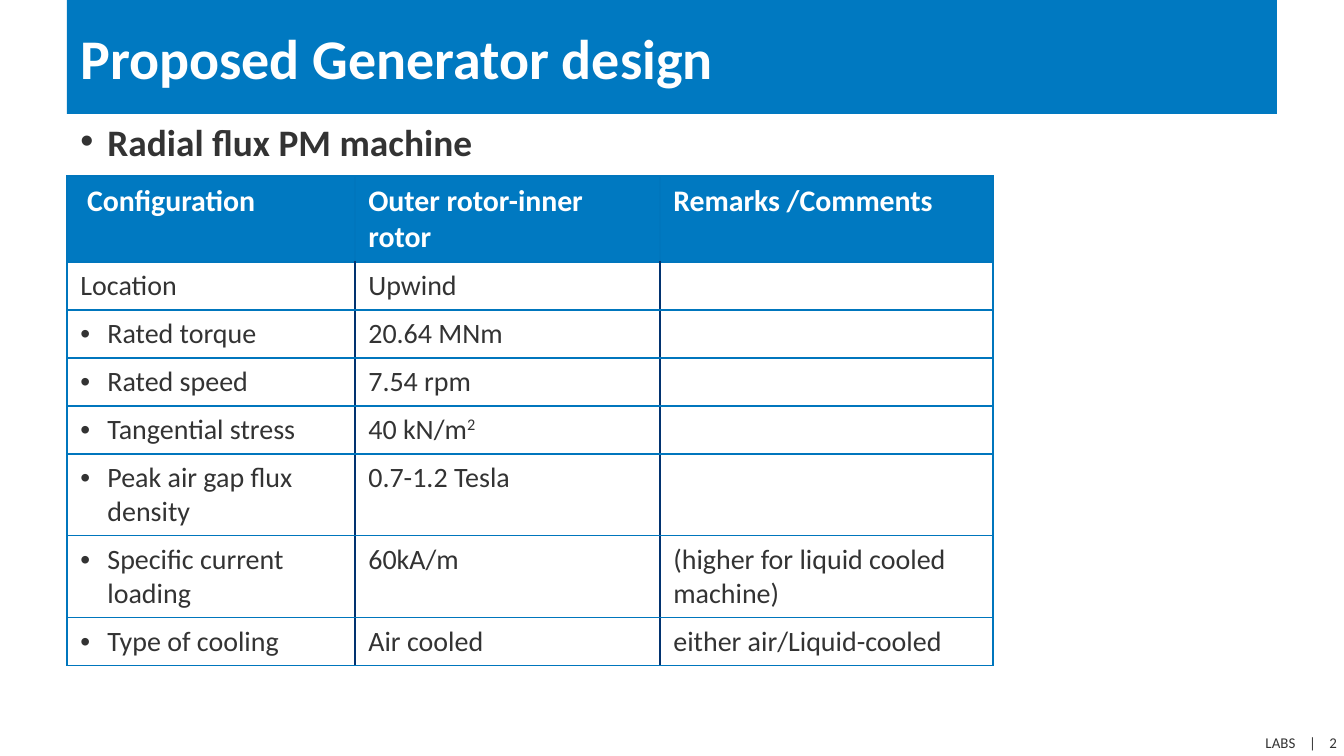
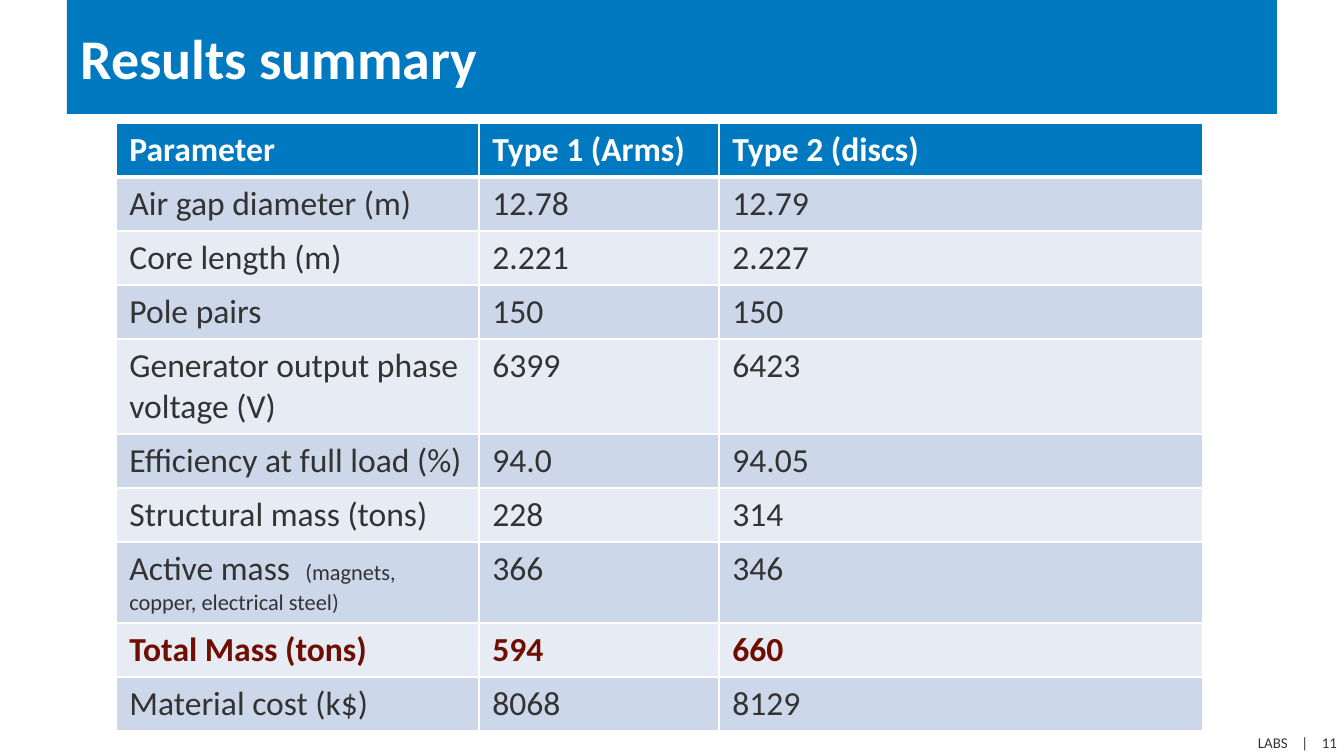
from dataclasses import dataclass

from lxml import etree
from pptx import Presentation
from pptx import util as u
from pptx.dml import color
from pptx.enum import text
from pptx.oxml import ns


@dataclass(frozen=True)
class Theme:
    font: str = "Calibri"
    blue: str = "0079C1"
    rule: str = "0076BD"
    navy: str = "023370"
    ink: str = "333333"
    white: str = "FFFFFF"
    maroon: str = "6F0D00"
    bands: tuple = ("CCD7E9", "E7ECF4")
    title_size: int = 30
    list_size: int = 20
    footer_size: int = 8
    note_size: int = 12


theme = Theme()
PX = 914400 / 134.4
INDENT = 27


def write_text(frame, runs, size, ink=theme.ink, bold=False, align=text.PP_ALIGN.LEFT, bullet=False):
    paragraph = frame.paragraphs[0]
    paragraph.alignment = align
    if bullet:
        properties = paragraph._p.get_or_add_pPr()
        properties.set("marL", str(round(INDENT * PX)))
        properties.set("indent", str(round(-INDENT * PX)))
        before = etree.SubElement(properties, ns.qn("a:spcBef"))
        etree.SubElement(before, ns.qn("a:spcPct"), val="20000")
        etree.SubElement(properties, ns.qn("a:buFont"), typeface="Arial")
        etree.SubElement(properties, ns.qn("a:buChar"), char="•")
    if not runs:
        etree.SubElement(paragraph._p, ns.qn("a:endParaRPr"), sz=str(size * 100))
        return
    for wording, extra in [(runs, {})] if isinstance(runs, str) else runs:
        run = paragraph.add_run()
        run.text = wording
        run.font.name = theme.font
        run.font.size = u.Pt(extra.get("size", size))
        run.font.bold = bold
        run.font.color.rgb = color.RGBColor.from_string(ink)
        for name in ("baseline", "spc"):
            if name in extra:
                run._r.get_or_add_rPr().set(name, str(extra[name]))


def draw_borders(cell, borders):
    properties = cell._tc.get_or_add_tcPr()
    for side, (ink, width) in zip("LRTB", borders):
        line = etree.SubElement(properties, ns.qn(f"a:ln{side}"), w=str(u.Pt(width)))
        fill = etree.SubElement(line, ns.qn("a:solidFill"))
        etree.SubElement(fill, ns.qn("a:srgbClr"), val=ink)


design_rows = [
    (" Configuration", "Outer rotor-inner rotor", "Remarks /Comments"),
    ("Location", "Upwind", ""),
    ("Rated torque", "20.64 MNm", ""),
    ("Rated speed", "7.54 rpm", ""),
    ("Tangential stress", [("40 kN/m", {}), ("2", {"baseline": 30000})], ""),
    ("Peak air gap flux density", "0.7-1.2 Tesla", ""),
    ("Specific current loading", "60kA/m", "(higher for liquid cooled machine)"),
    ("Type of cooling", "Air cooled", "either air/Liquid-cooled"),
]
active_mass = [
    ("Active mass", {}),
    (" ", {"spc": 400}),
    ("(magnets, copper, electrical steel)", {"size": theme.note_size}),
]
result_rows = [
    ("Parameter", "Type 1 (Arms)", "Type 2 (discs)"),
    ("Air gap diameter (m)", "12.78", "12.79"),
    ("Core length (m)", "2.221", "2.227"),
    ("Pole pairs", "150", "150"),
    ("Generator output phase voltage (V)", "6399", "6423"),
    ("Efficiency at full load (%)", "94.0", "94.05"),
    ("Structural mass (tons)", "228", "314"),
    (active_mass, "366", "346"),
    ("Total Mass (tons)", "594", "660"),
    ("Material cost (k$)", "8068", "8129"),
]
pages = [
    dict(title="Proposed Generator design", number=2, body="Radial flux PM machine",
         rows=design_rows, left=67, top=176, columns=(288, 305, 333),
         heights=(86, 48, 48, 48, 48, 82, 82, 48), head_size=16, size=15,
         banded=False, bullets_from=2, total=None),
    dict(title="Results summary", number=11, body=None,
         rows=result_rows, left=116, top=123, columns=(363, 240, 484),
         heights=(54, 54, 54, 54, 95, 54, 54, 81, 54, 54), head_size=18, size=18,
         banded=True, bullets_from=len(result_rows), total=8),
]

presentation = Presentation()
presentation.slide_width = round(1344 * PX)
presentation.slide_height = round(756 * PX)

for page in pages:
    layout = presentation.slide_layouts[1 if page["body"] else 5]
    slide = presentation.slides.add_slide(layout)

    footer = slide.shapes.add_textbox(*(round(n * PX) for n in (1249, 734, 88, 17)))
    frame = footer.text_frame
    frame.word_wrap = True
    frame.margin_left = frame.margin_right = frame.margin_top = frame.margin_bottom = 0
    gap = (" ", {"spc": 540})
    write_text(frame, [("LABS", {}), gap, ("|", {}), gap, (str(page["number"]), {})],
               theme.footer_size, align=text.PP_ALIGN.RIGHT)

    if page["body"]:
        body = slide.placeholders[1]
        body.left, body.top, body.width, body.height = (round(n * PX) for n in (67, 112, 1193, 532))
        body.text_frame.auto_size = text.MSO_AUTO_SIZE.NONE
        write_text(body.text_frame, page["body"], theme.list_size, bold=True, bullet=True)

    title = slide.shapes.title
    title.left, title.top, title.width, title.height = (round(n * PX) for n in (67, 0, 1210, 114))
    title.fill.solid()
    title.fill.fore_color.rgb = color.RGBColor.from_string(theme.blue)
    title.text_frame.auto_size = text.MSO_AUTO_SIZE.NONE
    title.text_frame.vertical_anchor = text.MSO_ANCHOR.MIDDLE
    write_text(title.text_frame, page["title"], theme.title_size, ink=theme.white, bold=True)

    rows, columns, heights = page["rows"], page["columns"], page["heights"]
    box = (page["left"], page["top"], sum(columns), sum(heights))
    table = slide.shapes.add_table(len(rows), len(columns), *(round(n * PX) for n in box)).table
    table.horz_banding = False
    for column, width in zip(table.columns, columns):
        column.width = round(width * PX)
    for row, height in zip(table.rows, heights):
        row.height = round(height * PX)

    for r, row in enumerate(rows):
        head, total = r == 0, r == page["total"]
        for c, content in enumerate(row):
            cell = table.cell(r, c)
            if page["banded"]:
                edge = (theme.white, 1)
                heavy = (theme.white, 3)
                borders = (edge, edge, heavy if r == 1 else edge, heavy if head else edge)
            else:
                edge = (theme.rule, 0.75)
                inner = edge if head else (theme.navy, 1)
                last = c == len(columns) - 1
                borders = (inner if c else edge, edge if last else inner, edge, edge)
            draw_borders(cell, borders)
            if head or page["banded"]:
                cell.fill.solid()
                fill = theme.blue if head else theme.bands[(r - 1) % 2]
                cell.fill.fore_color.rgb = color.RGBColor.from_string(fill)
            else:
                cell.fill.background()
            write_text(cell.text_frame, content, page["head_size"] if head else page["size"],
                       ink=theme.white if head else theme.maroon if total else theme.ink,
                       bold=head or total, bullet=c == 0 and r >= page["bullets_from"])

presentation.save("out.pptx")
